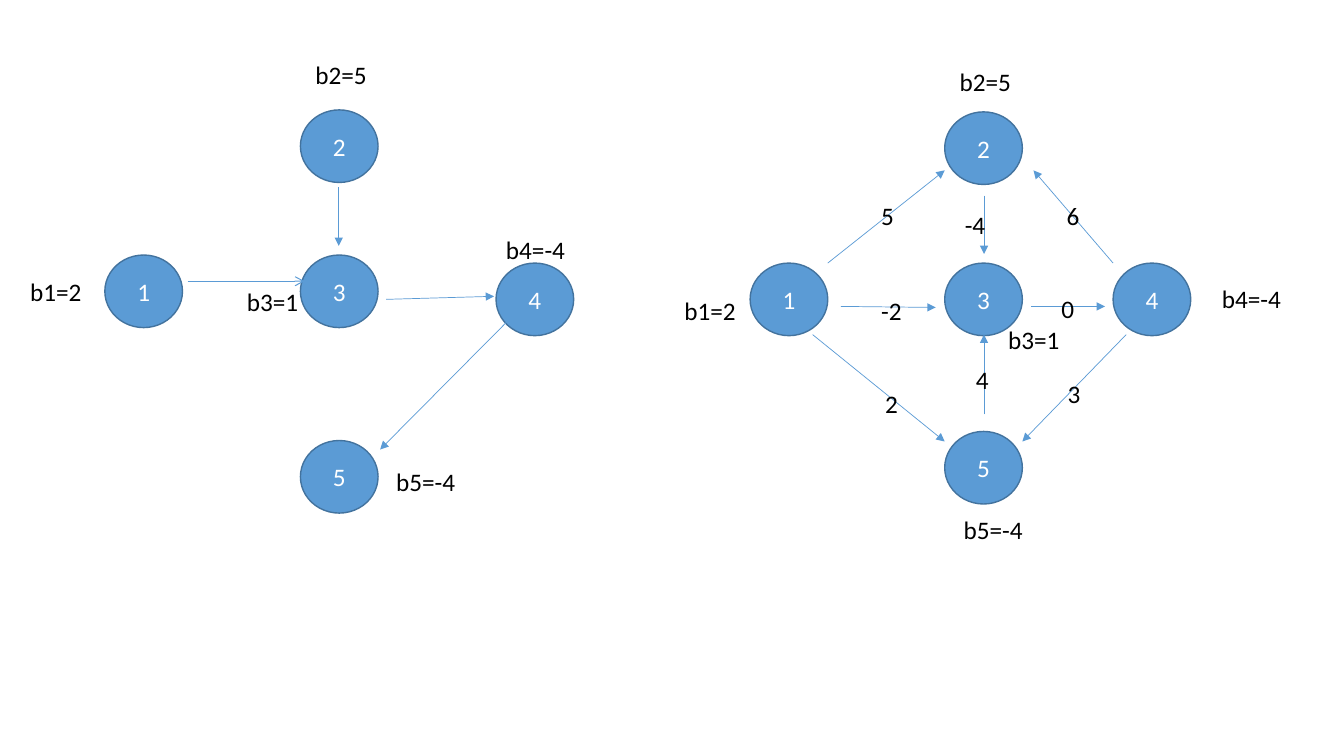
from dataclasses import dataclass

from lxml.etree import SubElement
from pptx import Presentation
from pptx.dml.color import RGBColor
from pptx.enum.shapes import MSO_CONNECTOR as Link, MSO_SHAPE as Form
from pptx.enum.text import MSO_ANCHOR as Anchor, MSO_AUTO_SIZE as Fit, PP_ALIGN as Align
from pptx.oxml.ns import qn
from pptx.shapes.shapetree import SlideShapes
from pptx.text.text import TextFrame
from pptx.util import Inches, Pt

BLUE = RGBColor(0x5B, 0x9B, 0xD5)
EDGE = RGBColor(0x43, 0x73, 0x9E)
WHITE = RGBColor(0xFF, 0xFF, 0xFF)
BLACK = RGBColor(0, 0, 0)

NODE_W, NODE_H = 0.77, 0.72
LABEL_H = 0.4
WIDTHS = {1: 0.33, 2: 0.41, 4: 0.72, 5: 0.79}  # label width by text length


@dataclass
class Node:
    name: str
    left: float
    top: float


@dataclass
class Arrow:
    x1: float
    y1: float
    x2: float
    y2: float
    head: str = "triangle"
    width: float = 0.5


@dataclass
class Label:
    text: str
    left: float
    top: float


@dataclass
class Graph:
    nodes: list[Node]
    arrows: list[Arrow]
    labels: list[Label]


# Tree on the left
TREE = Graph(
    nodes=[
        Node("1", 1.04, 2.53),
        Node("5", 2.98, 4.37),
        Node("3", 2.98, 2.53),
        Node("2", 2.98, 1.09),
        Node("4", 4.92, 2.61),
    ],
    arrows=[
        Arrow(3.36, 1.86, 3.36, 2.44),
        Arrow(3.83, 2.97, 4.9, 2.94),
        Arrow(5.09, 3.13, 3.77, 4.46),
        Arrow(1.86, 2.79, 3.02, 2.79, head="arrow", width=0.75),
    ],
    labels=[
        Label("b5=-4", 3.83, 4.58),
        Label("b3=1", 2.35, 2.79),
        Label("b2=5", 3.03, 0.54),
        Label("b4=-4", 4.92, 2.28),
        Label("b1=2", 0.2, 2.69),
    ],
)

# Network with edge costs on the right
NET = Graph(
    nodes=[
        Node("1", 7.44, 2.61),
        Node("5", 9.37, 4.28),
        Node("3", 9.37, 2.61),
        Node("2", 9.37, 1.11),
        Node("4", 11.04, 2.61),
    ],
    arrows=[
        Arrow(8.21, 2.61, 9.37, 1.69),
        Arrow(8.34, 3.04, 9.28, 3.05),
        Arrow(8.06, 3.32, 9.37, 4.38),
        Arrow(9.76, 1.94, 9.76, 2.52),
        Arrow(10.23, 3.04, 10.96, 3.04),
        Arrow(11.04, 2.61, 10.25, 1.69),
        Arrow(11.17, 3.32, 10.14, 4.38),
        Arrow(9.76, 4.11, 9.76, 3.32),
    ],
    labels=[
        Label("5", 8.64, 1.94),
        Label("-2", 8.64, 2.88),
        Label("2", 8.68, 3.8),
        Label("-4", 9.47, 2.03),
        Label("0", 10.43, 2.86),
        Label("6", 10.48, 1.94),
        Label("3", 10.49, 3.7),
        Label("4", 9.58, 3.57),
        Label("b1=2", 6.69, 2.88),
        Label("b5=-4", 9.46, 5.05),
        Label("b3=1", 9.9, 3.17),
        Label("b2=5", 9.42, 0.61),
        Label("b4=-4", 12.02, 2.76),
    ],
)


def write(frame: TextFrame, text: str, *, color: RGBColor = BLACK,
          align: Align = Align.LEFT, anchor: Anchor = Anchor.TOP,
          wrap: bool = False, fit: Fit = Fit.SHAPE_TO_FIT_TEXT) -> None:
    frame.word_wrap = wrap
    frame.auto_size = fit
    frame.vertical_anchor = anchor
    para = frame.paragraphs[0]
    para.alignment = align
    run = para.add_run()
    run.text = text
    run.font.name = "Calibri"
    run.font.size = Pt(18)
    run.font.color.rgb = color


def add_node(shapes: SlideShapes, node: Node) -> None:
    disc = shapes.add_shape(Form.OVAL, Inches(node.left), Inches(node.top),
                            Inches(NODE_W), Inches(NODE_H))
    disc.shadow.inherit = False
    disc.fill.solid()
    disc.fill.fore_color.rgb = BLUE
    disc.line.color.rgb = EDGE
    disc.line.width = Pt(1)
    write(disc.text_frame, node.name, color=WHITE, align=Align.CENTER,
          anchor=Anchor.MIDDLE, wrap=True, fit=Fit.NONE)


def add_arrow(shapes: SlideShapes, arrow: Arrow) -> None:
    line = shapes.add_connector(Link.STRAIGHT, Inches(arrow.x1), Inches(arrow.y1),
                                Inches(arrow.x2), Inches(arrow.y2))
    line.line.color.rgb = BLUE
    line.line.width = Pt(arrow.width)
    SubElement(line.line._get_or_add_ln(), qn("a:tailEnd"), type=arrow.head)
    SubElement(line._element.spPr, qn("a:effectLst"))


def add_label(shapes: SlideShapes, label: Label) -> None:
    box = shapes.add_textbox(Inches(label.left), Inches(label.top),
                             Inches(WIDTHS[len(label.text)]), Inches(LABEL_H))
    write(box.text_frame, label.text)


def draw(shapes: SlideShapes, graph: Graph) -> None:
    for node in graph.nodes:
        add_node(shapes, node)
    for arrow in graph.arrows:
        add_arrow(shapes, arrow)
    for label in graph.labels:
        add_label(shapes, label)


def main() -> None:
    deck = Presentation()
    deck.slide_width, deck.slide_height = Inches(13.33), Inches(7.5)
    slide = deck.slides.add_slide(deck.slide_layouts[6])
    for graph in (TREE, NET):
        draw(slide.shapes, graph)
    deck.save("out.pptx")


if __name__ == "__main__":
    main()
